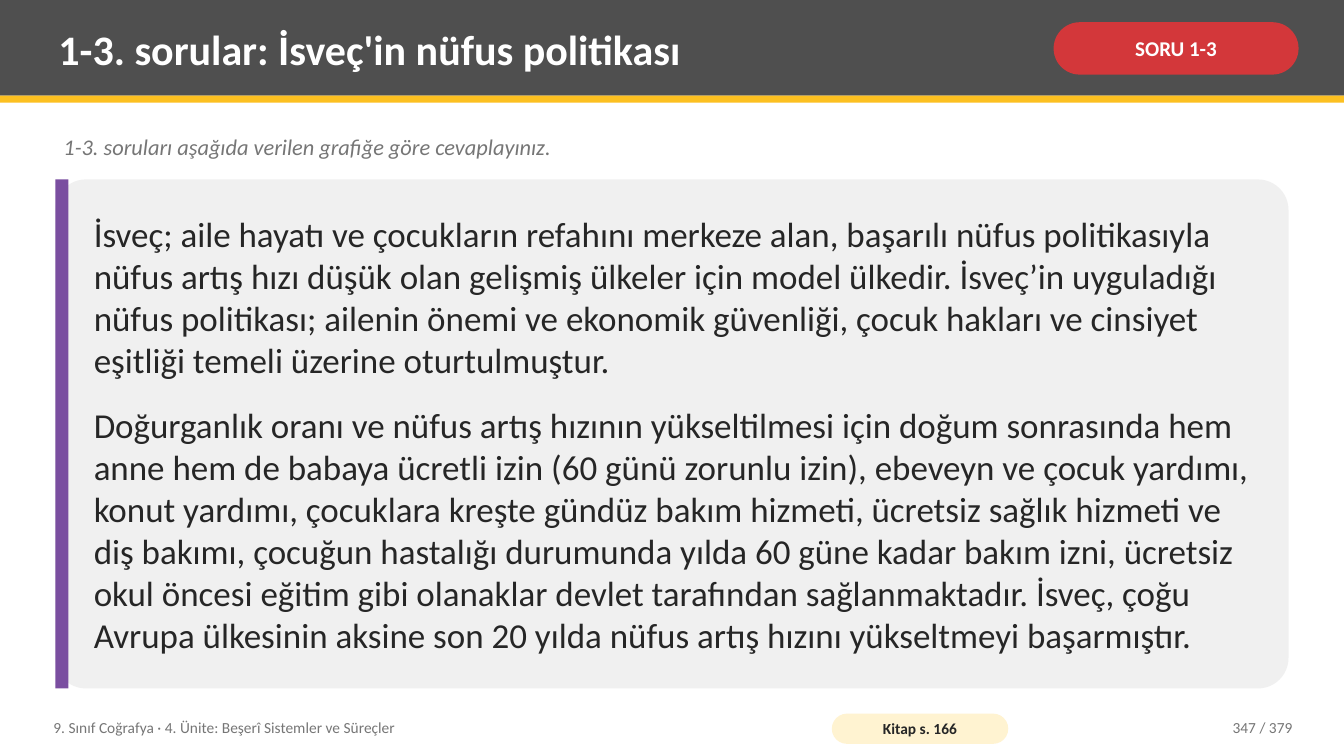
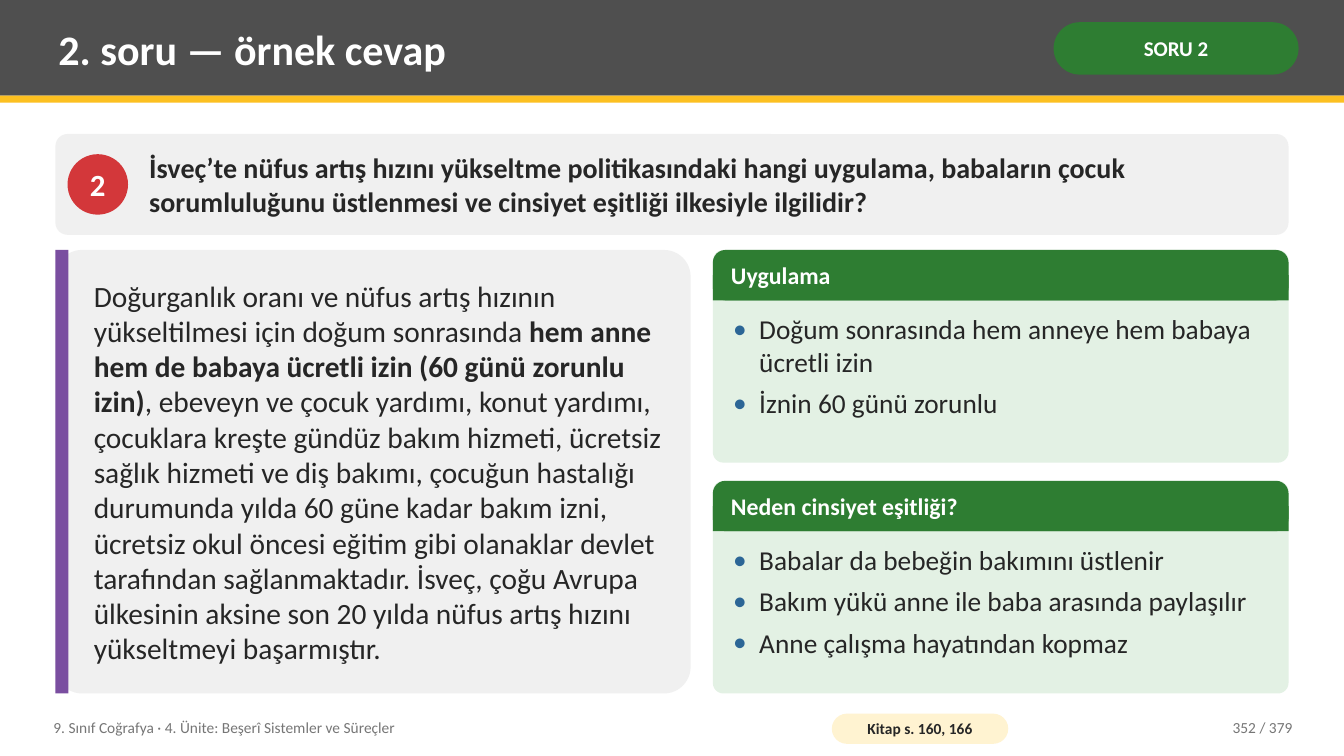
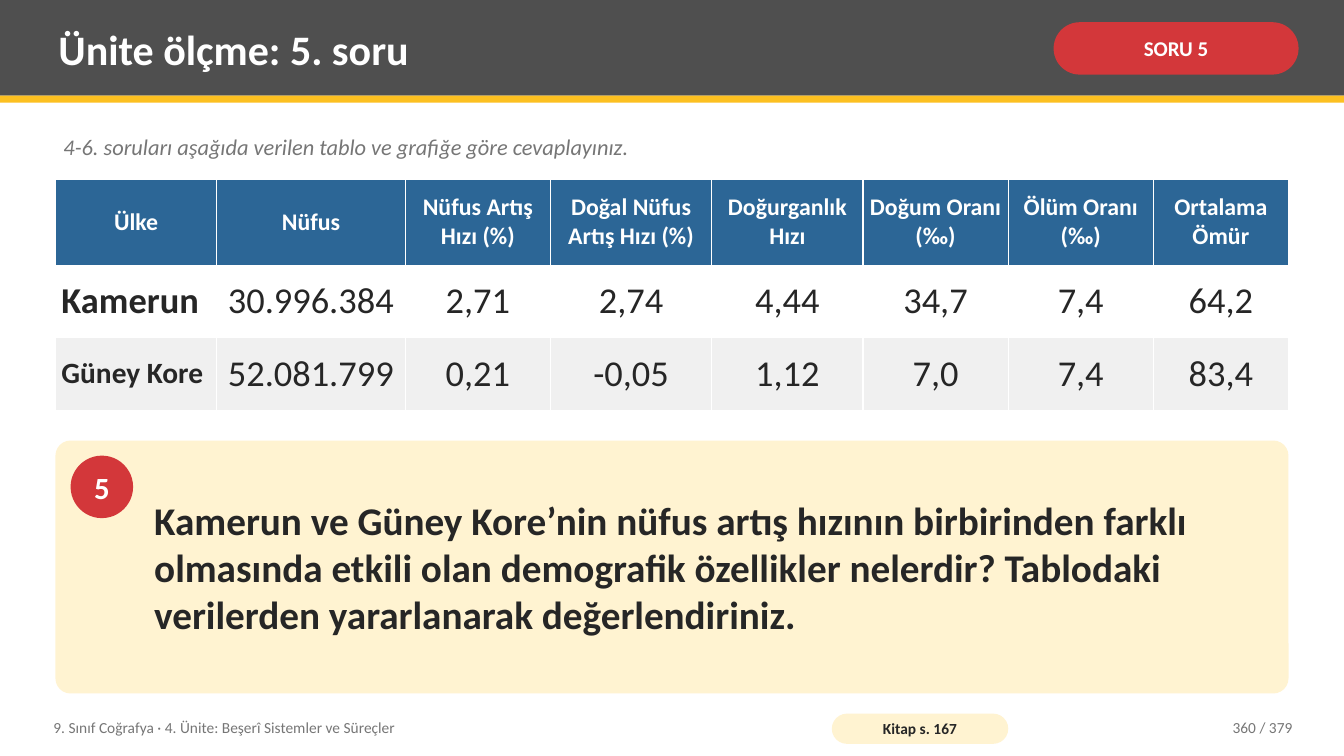
from collections import namedtuple

from pptx import Presentation
from pptx.dml.color import RGBColor
from pptx.enum.shapes import MSO_SHAPE
from pptx.enum.text import MSO_ANCHOR, MSO_AUTO_SIZE, PP_ALIGN
from pptx.oxml.ns import qn
from pptx.util import Inches, Pt
from lxml.etree import SubElement

FONT = "Calibri"
COLORS = {
    "band": "4F4F4F", "gold": "FCC021", "cream": "FFF3D1", "white": "FFFFFF",
    "panel": "F0F0F0", "ink": "262626", "muted": "767676", "red": "D3373A",
    "green": "2E7D32", "mint": "E3F1E4", "blue": "2C6696", "purple": "7A4EA0",
}
SLIDE_WIDTH, SLIDE_HEIGHT = 13.33, 7.5
LEFT, CONTENT_WIDTH = 0.55, 12.23
INSETS = (0.08, 0.04, 0.08, 0.04)
UNIT = "9. Sınıf Coğrafya · 4. Ünite: Beşerî Sistemler ve Süreçler"
PAGE_TOTAL = 379

Box = namedtuple("Box", "left top width height")

POLICY_INTRO = (
    "İsveç; aile hayatı ve çocukların refahını merkeze alan, başarılı nüfus politikasıyla "
    "nüfus artış hızı düşük olan gelişmiş ülkeler için model ülkedir. İsveç’in uyguladığı "
    "nüfus politikası; ailenin önemi ve ekonomik güvenliği, çocuk hakları ve cinsiyet "
    "eşitliği temeli üzerine oturtulmuştur."
)
POLICY_DETAILS = (
    "Doğurganlık oranı ve nüfus artış hızının yükseltilmesi için doğum sonrasında ",
    "hem anne hem de babaya ücretli izin (60 günü zorunlu izin)",
    ", ebeveyn ve çocuk yardımı, konut yardımı, çocuklara kreşte gündüz bakım hizmeti, "
    "ücretsiz sağlık hizmeti ve diş bakımı, çocuğun hastalığı durumunda yılda 60 güne kadar "
    "bakım izni, ücretsiz okul öncesi eğitim gibi olanaklar devlet tarafından sağlanmaktadır. "
    "İsveç, çoğu Avrupa ülkesinin aksine son 20 yılda nüfus artış hızını yükseltmeyi "
    "başarmıştır.",
)
COUNTRY_ROWS = [
    ["Ülke", "Nüfus", "Nüfus Artış Hızı (%)", "Doğal Nüfus Artış Hızı (%)",
     "Doğurganlık Hızı", "Doğum Oranı (‰)", "Ölüm Oranı (‰)", "Ortalama Ömür"],
    ["Kamerun", "30.996.384", "2,71", "2,74", "4,44", "34,7", "7,4", "64,2"],
    ["Güney Kore", "52.081.799", "0,21", "-0,05", "1,12", "7,0", "7,4", "83,4"],
]
COLUMN_WIDTHS = [1.6, 1.87, 1.44, 1.6, 1.5, 1.44, 1.44, 1.34]
ROW_HEIGHTS = [0.85, 0.72, 0.72]


def rgb(name):
    return RGBColor.from_string(COLORS[name])


def inches(box):
    return [Inches(length) for length in box]


def set_bullet(paragraph, bulleted):
    properties = paragraph._p.get_or_add_pPr()
    indent = Inches(0.26) if bulleted else 0
    properties.set("marL", str(indent))
    properties.set("indent", str(-indent))
    if bulleted:
        color = SubElement(properties, qn("a:buClr"))
        SubElement(color, qn("a:srgbClr"), val=COLORS["blue"])
        SubElement(properties, qn("a:buFont"), typeface=FONT)
        SubElement(properties, qn("a:buChar"), char="•")
    else:
        SubElement(properties, qn("a:buNone"))


def write(frame, paragraphs, size, color="ink", bold=False, italic=False,
          align=PP_ALIGN.LEFT, anchor=MSO_ANCHOR.MIDDLE, insets=INSETS,
          gap=0, bulleted=False, wrap=True):
    """Fill a text frame; in a paragraph given as a tuple every second run is bold."""
    frame.auto_size = MSO_AUTO_SIZE.NONE
    frame.word_wrap = wrap
    frame.vertical_anchor = anchor
    (frame.margin_left, frame.margin_top,
     frame.margin_right, frame.margin_bottom) = inches(insets)
    for index, content in enumerate(paragraphs):
        paragraph = frame.paragraphs[0] if index == 0 else frame.add_paragraph()
        set_bullet(paragraph, bulleted)
        paragraph.alignment = align
        paragraph.space_before = Pt(0)
        paragraph.space_after = Pt(gap if index < len(paragraphs) - 1 else 0)
        runs = (content,) if isinstance(content, str) else content
        for position, text in enumerate(runs):
            run = paragraph.add_run()
            run.text = text
            font = run.font
            font.name, font.size = FONT, Pt(size)
            font.bold, font.italic = bold or position % 2 == 1, italic
            font.color.rgb = rgb(color)


def add_block(slide, box, color, preset=MSO_SHAPE.RECTANGLE, radius=None):
    shape = slide.shapes.add_shape(preset, *inches(box))
    shape.shadow.inherit = False
    shape.fill.solid()
    shape.fill.fore_color.rgb = rgb(color)
    shape.line.fill.background()
    if radius is not None:
        shape.adjustments[0] = radius
    return shape


def add_rounded(slide, box, color, radius):
    return add_block(slide, box, color, MSO_SHAPE.ROUNDED_RECTANGLE, radius)


def add_text(slide, box, text, size, **style):
    write(slide.shapes.add_textbox(*inches(box)).text_frame, [text], size, **style)


def fill_placeholder(slide, index, box, paragraphs, size, **style):
    """Place and fill a template placeholder above the shapes drawn so far."""
    placeholder = slide.placeholders[index]
    placeholder.left, placeholder.top, placeholder.width, placeholder.height = inches(box)
    slide.shapes._spTree.append(placeholder._element)
    write(placeholder.text_frame, paragraphs, size, **style)


def add_pill(slide, box, color, text, size, text_color, insets):
    pill = add_rounded(slide, box, color, 0.5)
    write(pill.text_frame, [text], size, color=text_color, bold=True,
          align=PP_ALIGN.CENTER, insets=insets)


def add_header(slide, title, tag, tag_color):
    add_block(slide, Box(0, 0, SLIDE_WIDTH, 0.95), "band")
    add_block(slide, Box(0, 0.95, SLIDE_WIDTH, 0.07), "gold")
    fill_placeholder(slide, 0, Box(0.5, 0.07, 9.75, 0.82), [title], 30,
                     color="white", bold=True)
    add_pill(slide, Box(10.45, 0.22, 2.43, 0.52), tag_color, tag, 15, "white",
             (0.05, 0.02, 0.05, 0.02))


def add_footer(slide, book_pages, page):
    add_text(slide, Box(0.45, 7.04, 7.6, 0.36), UNIT, 11, color="muted")
    add_pill(slide, Box(8.25, 7.08, 1.75, 0.3), "cream", f"Kitap s. {book_pages}", 11,
             "ink", (0.04, 0, 0.04, 0))
    add_text(slide, Box(11.3, 7.04, 1.6, 0.36), f"{page} / {PAGE_TOTAL}", 11,
             color="muted", align=PP_ALIGN.RIGHT)


def start_slide(presentation, layout_name, title, tag, tag_color, book_pages, page):
    layout = presentation.slide_layouts.get_by_name(layout_name)
    slide = presentation.slides.add_slide(layout)
    add_header(slide, title, tag, tag_color)
    add_footer(slide, book_pages, page)
    return slide


def add_instruction(slide, text):
    add_text(slide, Box(LEFT, 1.28, CONTENT_WIDTH, 0.4), text, 16, color="muted",
             italic=True, anchor=MSO_ANCHOR.TOP)


def add_passage_panel(slide, box):
    """Draw the grey panel with its purple edge and return the box for its text."""
    add_rounded(slide, box, "panel", 0.06)
    add_block(slide, box._replace(width=0.13), "purple")
    return Box(box.left + 0.3, box.top, box.width - 0.45, box.height)


def add_number(slide, left, top, diameter, number):
    circle = add_block(slide, Box(left, top, diameter, diameter), "red", MSO_SHAPE.OVAL)
    write(circle.text_frame, [number], 22, color="white", bold=True,
          align=PP_ALIGN.CENTER, insets=(0, 0, 0, 0), wrap=False)


def add_question_bar(slide, box, number, question):
    diameter = 0.6
    add_rounded(slide, box, "panel", 0.12)
    add_number(slide, box.left + 0.12, box.top + (box.height - diameter) / 2,
               diameter, number)
    add_text(slide, Box(box.left + 0.85, box.top, box.width - 0.95, box.height),
             question, 20, bold=True)


def add_question_card(slide, box, number, question):
    add_rounded(slide, box, "cream", 0.06)
    add_number(slide, box.left + 0.15, box.top + 0.15, 0.62, number)
    add_text(slide, Box(box.left + 0.9, box.top + 0.08, box.width - 1, box.height - 0.16),
             question, 28, bold=True)


def add_list_card(slide, box, placeholder_index, heading, items):
    bar = box._replace(height=0.5)
    half = bar.height / 2
    add_rounded(slide, box, "mint", 0.05)
    add_rounded(slide, bar, "green", 0.25)
    add_block(slide, bar._replace(top=bar.top + half, height=half), "green")
    add_text(slide, bar._replace(left=bar.left + 0.1, width=bar.width - 0.2),
             heading, 17, color="white", bold=True)
    list_box = Box(box.left + 0.12, box.top + 0.58, box.width - 0.24, box.height - 0.66)
    fill_placeholder(slide, placeholder_index, list_box, items, 19.5,
                     anchor=MSO_ANCHOR.TOP, gap=6, bulleted=True)


def set_white_borders(cell):
    properties = cell._tc.get_or_add_tcPr()
    for side in ("lnL", "lnR", "lnT", "lnB"):
        line = SubElement(properties, qn(f"a:{side}"), w=str(Pt(0.96)))
        fill = SubElement(line, qn("a:solidFill"))
        SubElement(fill, qn("a:srgbClr"), val=COLORS["white"])


def add_country_table(slide, box):
    table = slide.shapes.add_table(len(ROW_HEIGHTS), len(COLUMN_WIDTHS),
                                   *inches(box)).table
    table.horz_banding = False
    for column, width in zip(table.columns, COLUMN_WIDTHS):
        column.width = Inches(width)
    row_fills = ("blue", "white", "panel")
    for row_index, (values, height) in enumerate(zip(COUNTRY_ROWS, ROW_HEIGHTS)):
        table.rows[row_index].height = Inches(height)
        is_header = row_index == 0
        for column_index, value in enumerate(values):
            is_country = column_index == 0 and not is_header
            size = 17 if is_header else 21 if value == "Güney Kore" else 26
            cell = table.cell(row_index, column_index)
            set_white_borders(cell)
            cell.fill.solid()
            cell.fill.fore_color.rgb = rgb(row_fills[row_index])
            write(cell.text_frame, [value], size,
                  color="white" if is_header else "ink", bold=is_header or is_country,
                  align=PP_ALIGN.LEFT if is_country else PP_ALIGN.CENTER)
            cell.vertical_anchor = MSO_ANCHOR.MIDDLE
            cell.margin_left = cell.margin_right = Inches(0.06)
            cell.margin_top = cell.margin_bottom = Inches(0.05)


def build_passage_slide(presentation):
    slide = start_slide(presentation, "Title and Content",
                        "1-3. sorular: İsveç'in nüfus politikası", "SORU 1-3", "red",
                        "166", 347)
    add_instruction(slide, "1-3. soruları aşağıda verilen grafiğe göre cevaplayınız.")
    text_box = add_passage_panel(slide, Box(LEFT, 1.78, CONTENT_WIDTH, 5.05))
    fill_placeholder(slide, 1, text_box, [POLICY_INTRO, "".join(POLICY_DETAILS)], 25,
                     gap=16)


def build_answer_slide(presentation):
    slide = start_slide(presentation, "Two Content", "2. soru — örnek cevap", "SORU 2",
                        "green", "160, 166", 352)
    add_question_bar(
        slide, Box(LEFT, 1.33, CONTENT_WIDTH, 1), "2",
        "İsveç’te nüfus artış hızını yükseltme politikasındaki hangi uygulama, babaların "
        "çocuk sorumluluğunu üstlenmesi ve cinsiyet eşitliği ilkesiyle ilgilidir?")
    top, height, gap = 2.48, 4.4, 0.18
    text_box = add_passage_panel(slide, Box(LEFT, top, 6.3, height))
    add_text(slide, text_box, POLICY_DETAILS, 21)
    cards = [
        ("Uygulama", ["Doğum sonrasında hem anneye hem babaya ücretli izin",
                      "İznin 60 günü zorunlu"]),
        ("Neden cinsiyet eşitliği?", ["Babalar da bebeğin bakımını üstlenir",
                                      "Bakım yükü anne ile baba arasında paylaşılır",
                                      "Anne çalışma hayatından kopmaz"]),
    ]
    card_height = (height - gap) / len(cards)
    for index, (heading, items) in enumerate(cards):
        card = Box(7.07, top + index * (card_height + gap), 5.71, card_height)
        add_list_card(slide, card, index + 1, heading, items)


def build_table_slide(presentation):
    slide = start_slide(presentation, "Title Only", "Ünite ölçme: 5. soru", "SORU 5", "red",
                        "167", 360)
    add_instruction(slide, "4-6. soruları aşağıda verilen tablo ve grafiğe göre cevaplayınız.")
    add_country_table(slide, Box(LEFT, 1.78, CONTENT_WIDTH, sum(ROW_HEIGHTS)))
    add_question_card(
        slide, Box(LEFT, 4.37, CONTENT_WIDTH, 2.51), "5",
        "Kamerun ve Güney Kore’nin nüfus artış hızının birbirinden farklı olmasında etkili "
        "olan demografik özellikler nelerdir? Tablodaki verilerden yararlanarak "
        "değerlendiriniz.")


def main():
    presentation = Presentation()
    presentation.slide_width = Inches(SLIDE_WIDTH)
    presentation.slide_height = Inches(SLIDE_HEIGHT)
    build_passage_slide(presentation)
    build_answer_slide(presentation)
    build_table_slide(presentation)
    presentation.save("out.pptx")


if __name__ == "__main__":
    main()
